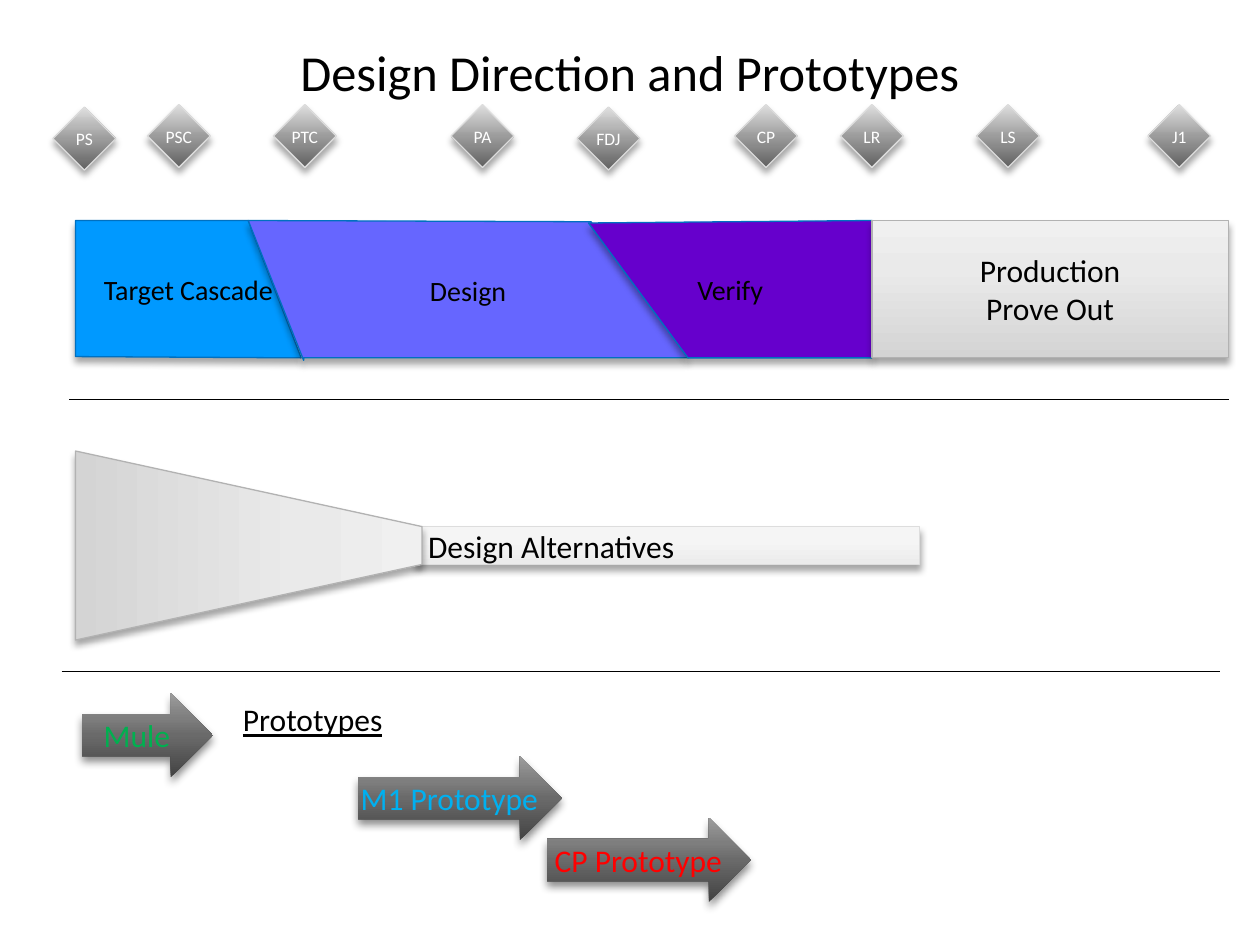
from lxml.etree import SubElement
from pptx import Presentation
from pptx.dml.color import RGBColor
from pptx.enum.shapes import MSO_CONNECTOR, MSO_SHAPE
from pptx.enum.text import MSO_ANCHOR, PP_ALIGN
from pptx.oxml.ns import qn
from pptx.util import Pt

PX = 9144  # EMU per px, 100 px to the inch
FONT = "Calibri"

DIAMOND_GRAY = [(0, "616161"), (50, "9C9C9C"), (70, "B8B8B8"), (100, "DFDFDF")]
ARROW_GRAY = [(0, "424242"), (50, "6A6A6A"), (70, "7E7E7E"), (100, "9D9D9D")]
PANEL_GRAY = [(0, "D4D4D4"), (65, "EAEAEA"), (100, "F0F0F0")]
BAR_GRAY = [(0, "EBEBEB"), (65, "F5F5F5"), (100, "F8F8F8")]


def px(*values):
    return [round(v * PX) for v in values]


def color(hex_string):
    return RGBColor.from_string(hex_string)


def set_fill(sp, fill):
    """Fill with one colour, or with gradient stops running from bottom to top."""
    if isinstance(fill, str):
        sp.fill.solid()
        sp.fill.fore_color.rgb = color(fill)
        return
    sp.fill.gradient()
    sp.fill.gradient_angle = 90
    stops = sp._element.spPr.find(qn("a:gradFill")).find(qn("a:gsLst"))
    for gs in list(stops):
        stops.remove(gs)
    for position, hex_string in fill:
        gs = SubElement(stops, qn("a:gs"), pos=str(position * 1000))
        SubElement(gs, qn("a:srgbClr"), val=hex_string)


def set_shadow(sp, alpha, blur):
    sp.shadow.inherit = False
    effects = sp._element.spPr.find(qn("a:effectLst"))
    shadow = SubElement(effects, qn("a:outerShdw"), blurRad=str(Pt(blur)),
                        dist=str(Pt(3)), dir="5400000", rotWithShape="0")
    black = SubElement(shadow, qn("a:srgbClr"), val="000000")
    SubElement(black, qn("a:alpha"), val=str(alpha * 1000))


def style(sp, fill, line=None, alpha=35, blur=4):
    set_fill(sp, fill)
    if line:
        sp.line.color.rgb = color(line)
        sp.line.width = Pt(0.75)
    else:
        sp.line.fill.background()
    set_shadow(sp, alpha, blur)


def set_text(sp, text, size, hex_string="000000", align=PP_ALIGN.CENTER, wrap=True):
    tf = sp.text_frame
    tf.text = text
    tf.word_wrap = wrap
    tf.vertical_anchor = MSO_ANCHOR.MIDDLE
    for p in tf.paragraphs:
        p.alignment = align
        for r in p.runs:
            r.font.name = FONT
            r.font.size = Pt(size)
            r.font.color.rgb = color(hex_string)


def add_title(s, box):
    sp = s.shapes.title
    sp.left, sp.top, sp.width, sp.height = px(*box)
    set_text(sp, "Design Direction and Prototypes", 28.8)


def add_milestones(s, box):
    left, top, _, size = box
    milestones = [("PS", 0, 2), ("J1", 869, 0), ("PSC", 75, 0), ("PTC", 175, 0),
                  ("FDJ", 416, 2), ("PA", 316, 0), ("CP", 541, 0), ("LR", 625, 0),
                  ("LS", 733, 0)]
    for name, dx, dy in milestones:
        sp = s.shapes.add_shape(MSO_SHAPE.DIAMOND, *px(left + dx, top + dy, size, size))
        style(sp, DIAMOND_GRAY, "DDDDDD")
        set_text(sp, name, 10, "FFFFFF", wrap=False)
        tf = sp.text_frame
        tf.margin_left = tf.margin_right = tf.margin_top = tf.margin_bottom = 0


def add_funnel(s, box):
    left, top, width, height = box
    mouth, bar = 275, 30
    middle = top + height / 2
    sp = s.shapes.add_shape(MSO_SHAPE.RECTANGLE,
                            *px(left + mouth - 5, middle - bar / 2, width - mouth + 5, bar))
    style(sp, BAR_GRAY, "DDDDDD")
    set_text(sp, "Design Alternatives", 18, align=PP_ALIGN.LEFT)

    # The upright trapezoid is turned a quarter about its centre.
    sp = s.shapes.add_shape(MSO_SHAPE.TRAPEZOID,
                            *px(left + (mouth - height) / 2, middle - mouth / 2, height, mouth))
    sp.adjustments[0] = 0.4
    sp.rotation = 90
    style(sp, PANEL_GRAY, "B2B2B2")


def add_prototypes(s, box):
    left, top, _, _ = box
    arrows = [("CP Prototype", 369, 99, 162, "FF0000"),
              ("M1 Prototype", 219, 50, 162, "00B0F0"),
              ("Mule", 0, 0, 104, "00B050")]
    for name, dx, dy, width, hex_string in arrows:
        sp = s.shapes.add_shape(MSO_SHAPE.RIGHT_ARROW, *px(left + dx, top + dy, width, 67))
        style(sp, ARROW_GRAY, alpha=45, blur=5)
        set_text(sp, name, 18, hex_string)
        sp.text_frame.margin_left = sp.text_frame.margin_right = 0

    label = s.shapes.add_textbox(*px(left + 118, top + 1, 132, 40))
    set_text(label, "Prototypes", 18, align=PP_ALIGN.LEFT, wrap=False)
    label.text_frame.paragraphs[0].runs[0].font.underline = True


def add_divider(s, left, top, width):
    line = s.shapes.add_connector(MSO_CONNECTOR.STRAIGHT, *px(left, top, left + width, top))
    line.line.color.rgb = color("000000")
    line.line.width = Pt(0.75)
    SubElement(line._element.spPr, qn("a:effectLst"))


def add_phases(s, box):
    left, top, width, height = box
    phases = [
        ("Target Cascade", "0099FF", [(0, 0), (137, 0), (179, 109), (0, 108)]),
        ("Design", "6666FF", [(137, 0), (409, 1), (486, 109), (181, 109), (181, 111)]),
        ("Verify", "6600CC", [(407, 2), (632, 0), (632, 109), (486, 109)]),
    ]
    for name, fill, points in phases:
        start, *rest = [(left + x, top + y) for x, y in points]
        builder = s.shapes.build_freeform(*start, scale=PX)
        builder.add_line_segments(rest, close=True)
        sp = builder.convert_to_shape()
        style(sp, fill, "0070C0")
        set_text(sp, name, 16)

    sp = s.shapes.add_shape(MSO_SHAPE.RECTANGLE, *px(left + 632, top, width - 632, height))
    style(sp, PANEL_GRAY, "B2B2B2")
    set_text(sp, "Production\nProve Out", 18)


def main():
    prs = Presentation()
    prs.slide_width, prs.slide_height = px(1000, 750)
    s = prs.slides.add_slide(prs.slide_layouts[5])
    add_title(s, (50, 30, 900, 53))
    add_milestones(s, (42, 83, 919, 50))
    add_funnel(s, (60, 358, 670, 150))
    add_prototypes(s, (65, 550, 531, 166))
    add_divider(s, 49, 533, 919)
    add_divider(s, 55, 317, 920)
    add_phases(s, (60, 175, 915, 109))
    prs.save("out.pptx")


if __name__ == "__main__":
    main()
